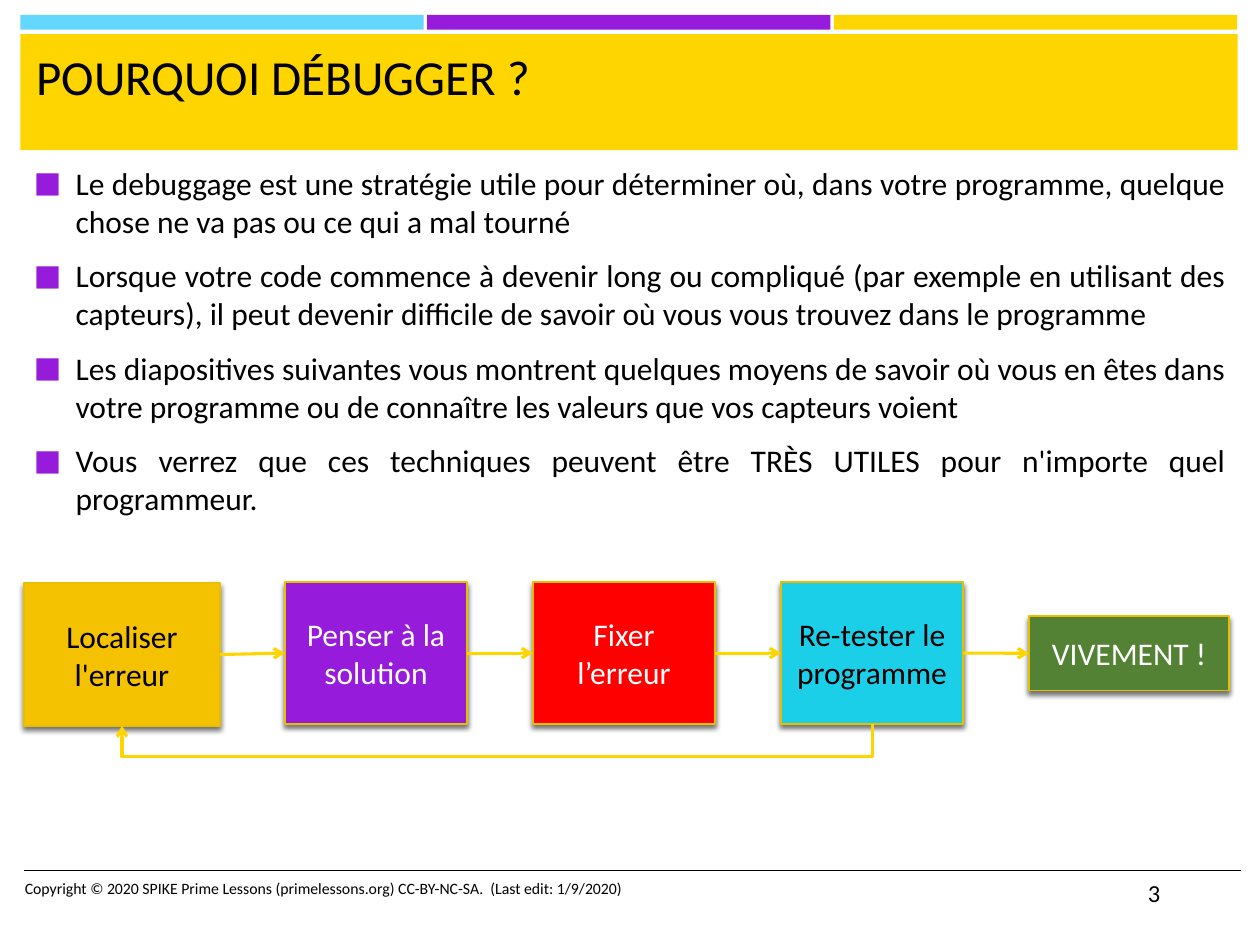
from typing import NamedTuple

from lxml import etree
from pptx import Presentation
from pptx.dml.color import RGBColor
from pptx.enum.shapes import MSO_CONNECTOR, MSO_SHAPE
from pptx.enum.text import MSO_ANCHOR, MSO_AUTO_SIZE, PP_ALIGN
from pptx.oxml import parse_xml
from pptx.oxml.ns import nsdecls, qn
from pptx.util import Cm, Pt

RECTANGLE, PROCESS = MSO_SHAPE.RECTANGLE, MSO_SHAPE.FLOWCHART_PROCESS
STRAIGHT, ELBOW = MSO_CONNECTOR.STRAIGHT, MSO_CONNECTOR.ELBOW
LEFT, CENTER, JUSTIFY = PP_ALIGN.LEFT, PP_ALIGN.CENTER, PP_ALIGN.JUSTIFY
SIDE_LEFT, SIDE_BOTTOM, SIDE_RIGHT = 1, 2, 3

FONT = "Calibri"
BLACK, WHITE = "000000", "FFFFFF"
YELLOW, PURPLE, SKY = "FFD500", "961BDB", "65D7FF"
BOX_BORDER = "E6C000"

TITLE = "POURQUOI DÉBUGGER ?"
POINTS = [
    "Le debuggage est une stratégie utile pour déterminer où, dans votre programme, "
    "quelque chose ne va pas ou ce qui a mal tourné",
    "Lorsque votre code commence à devenir long ou compliqué (par exemple en utilisant "
    "des capteurs), il peut devenir difficile de savoir où vous vous trouvez dans le programme",
    "Les diapositives suivantes vous montrent quelques moyens de savoir où vous en êtes "
    "dans votre programme ou de connaître les valeurs que vos capteurs voient",
    "Vous verrez que ces techniques peuvent être TRÈS UTILES pour n'importe quel programmeur.",
]
COPYRIGHT = ("Copyright © 2020 SPIKE Prime Lessons (primelessons.org) CC-BY-NC-SA.  "
             "(Last edit: 1/9/2020)")


class Frame(NamedTuple):
    """Position and size in centimetres."""
    left: float
    top: float
    width: float
    height: float


class Step(NamedTuple):
    text: str
    frame: Frame
    fill: str
    text_color: str


STEP_LEFT, STEP_PITCH = 5.74, 5.0


def step_frame(index: int) -> Frame:
    return Frame(STEP_LEFT + index * STEP_PITCH, 11.73, 3.68, 2.87)


STEPS = [
    Step("Localiser l'erreur", Frame(0.48, 11.76, 3.96, 2.87), "F5C201", BLACK),
    Step("Penser à la solution", step_frame(0), PURPLE, WHITE),
    Step("Fixer l’erreur", step_frame(1), "FF0000", WHITE),
    Step("Re-tester le programme", step_frame(2), "1BCFE9", BLACK),
    Step("VIVEMENT !", Frame(STEP_LEFT + 3 * STEP_PITCH, 12.42, 4.04, 1.5), "548235", WHITE),
]


def color(value: str) -> RGBColor:
    return RGBColor.from_string(value)


def place(shape, frame: Frame) -> None:
    shape.left, shape.top, shape.width, shape.height = (Cm(length) for length in frame)


def format_text(paragraph, size: float, text_color: str, alignment) -> None:
    paragraph.alignment = alignment
    for run in paragraph.runs:
        run.font.name = FONT
        run.font.size = Pt(size)
        run.font.color.rgb = color(text_color)


def add_block(slide, kind, frame: Frame, fill: str):
    shape = slide.shapes.add_shape(kind, *(Cm(length) for length in frame))
    shape.shadow.inherit = False
    shape.fill.solid()
    shape.fill.fore_color.rgb = color(fill)
    shape.line.fill.background()
    return shape


def add_step(slide, step: Step):
    shape = add_block(slide, PROCESS, step.frame, step.fill)
    shape.line.color.rgb = color(BOX_BORDER)
    shape.line.width = Pt(1)
    effects = shape._element.spPr.find(qn("a:effectLst"))
    effects.append(parse_xml(
        f'<a:outerShdw {nsdecls("a")} blurRad="{Pt(3)}" dist="{Pt(2)}" dir="5400000" '
        f'rotWithShape="0"><a:srgbClr val="{BLACK}"><a:alpha val="55000"/></a:srgbClr>'
        '</a:outerShdw>'))
    text_frame = shape.text_frame
    text_frame.word_wrap = True
    text_frame.vertical_anchor = MSO_ANCHOR.MIDDLE
    text_frame.text = step.text
    format_text(text_frame.paragraphs[0], 18, step.text_color, CENTER)
    return shape


def add_line(slide, kind, start, end, line_color: str, width: float):
    connector = slide.shapes.add_connector(kind, *(Cm(length) for length in (*start, *end)))
    connector.line.color.rgb = color(line_color)
    connector.line.width = Pt(width)
    etree.SubElement(connector._element.spPr, qn("a:effectLst"))
    return connector


def add_arrow(slide, kind, source, source_side: int, target, target_side: int):
    connector = add_line(slide, kind, (0, 0), (0, 0), YELLOW, 1.75)
    connector.begin_connect(source, source_side)
    connector.end_connect(target, target_side)
    etree.SubElement(connector.line._get_or_add_ln(), qn("a:tailEnd"), type="arrow")
    return connector


def add_return_arrow(slide, source, target, drop: int) -> None:
    """Elbow arrow running below the boxes, from bottom to bottom."""
    connector = add_arrow(slide, ELBOW, source, SIDE_BOTTOM, target, SIDE_BOTTOM)
    start_x, start_y = connector.begin_x, connector.begin_y
    end_x, end_y = connector.end_x, connector.end_y
    width, height = end_y - start_y, start_x - end_x
    # The elbow is drawn upright, then turned a quarter about its centre
    transform = connector._element.spPr.find(qn("a:xfrm"))
    for flip in ("flipH", "flipV"):
        transform.attrib.pop(flip, None)
    transform.set("rot", "5400000")
    connector.left = (start_x + end_x - width) // 2
    connector.top = (start_y + end_y - height) // 2
    connector.width, connector.height = width, height
    guides = connector._element.spPr.find(qn("a:prstGeom")).get_or_add_avLst()
    etree.SubElement(guides, qn("a:gd"), name="adj1", fmla=f"val {drop * 100000 // width}")


def add_label(slide, frame: Frame, text: str, size: float) -> None:
    text_box = slide.shapes.add_textbox(*(Cm(length) for length in frame))
    text_box.text_frame.word_wrap = True
    text_box.text_frame.text = text
    format_text(text_box.text_frame.paragraphs[0], size, BLACK, LEFT)


def add_bullet(paragraph) -> None:
    properties = paragraph._p.get_or_add_pPr()
    properties.set("marL", str(Cm(0.84)))
    properties.set("indent", str(-Cm(0.84)))
    bullet_color = etree.SubElement(properties, qn("a:buClr"))
    etree.SubElement(bullet_color, qn("a:srgbClr"), val=PURPLE)
    etree.SubElement(properties, qn("a:buSzPct"), val="92000")
    etree.SubElement(properties, qn("a:buFont"), typeface=FONT)
    etree.SubElement(properties, qn("a:buChar"), char="■")


def fill_placeholder(placeholder, frame: Frame, text: str):
    place(placeholder, frame)
    text_frame = placeholder.text_frame
    text_frame.auto_size = MSO_AUTO_SIZE.NONE
    text_frame.word_wrap = True
    text_frame.vertical_anchor = MSO_ANCHOR.TOP
    text_frame.text = text
    # Bring the placeholder in front of the banner
    placeholder._element.getparent().append(placeholder._element)
    return text_frame.paragraphs


def main() -> None:
    presentation = Presentation()
    presentation.slide_width, presentation.slide_height = Cm(25.4), Cm(19.05)
    slide = presentation.slides.add_slide(presentation.slide_layouts[1])
    title, body = slide.shapes.title, slide.placeholders[1]

    # Colour bars, banner and footer rule
    for index, fill in enumerate((SKY, PURPLE, YELLOW)):
        add_block(slide, RECTANGLE, Frame(0.41 + index * 8.2, 0.3, 8.13, 0.3), fill)
    add_block(slide, RECTANGLE, Frame(0.41, 0.69, 24.54, 2.34), YELLOW)
    add_line(slide, STRAIGHT, (0.48, 17.55), (25.02, 17.55), BLACK, 1)

    # Title and bullet list
    for paragraph in fill_placeholder(title, Frame(0.48, 0.81, 24.31, 2.08), TITLE):
        format_text(paragraph, 28, BLACK, LEFT)
    points = fill_placeholder(body, Frame(0.43, 3.18, 24.54, 14.12), "\n".join(POINTS))
    for index, paragraph in enumerate(points):
        add_bullet(paragraph)
        paragraph.space_before = Pt(3.6 if index else 0)
        paragraph.space_after = Pt(6)
        format_text(paragraph, 18, BLACK, JUSTIFY)

    # Debugging cycle
    boxes = [add_step(slide, step) for step in STEPS]
    for source, target in zip(boxes, boxes[1:]):
        add_arrow(slide, STRAIGHT, source, SIDE_RIGHT, target, SIDE_LEFT)
    add_return_arrow(slide, boxes[3], boxes[0], Cm(0.66))

    # Footer
    add_label(slide, Frame(0.25, 17.58, 13.54, 1.02), COPYRIGHT, 9)
    add_label(slide, Frame(22.89, 17.58, 2.13, 1.02), "3", 14)

    presentation.save("out.pptx")


if __name__ == "__main__":
    main()
